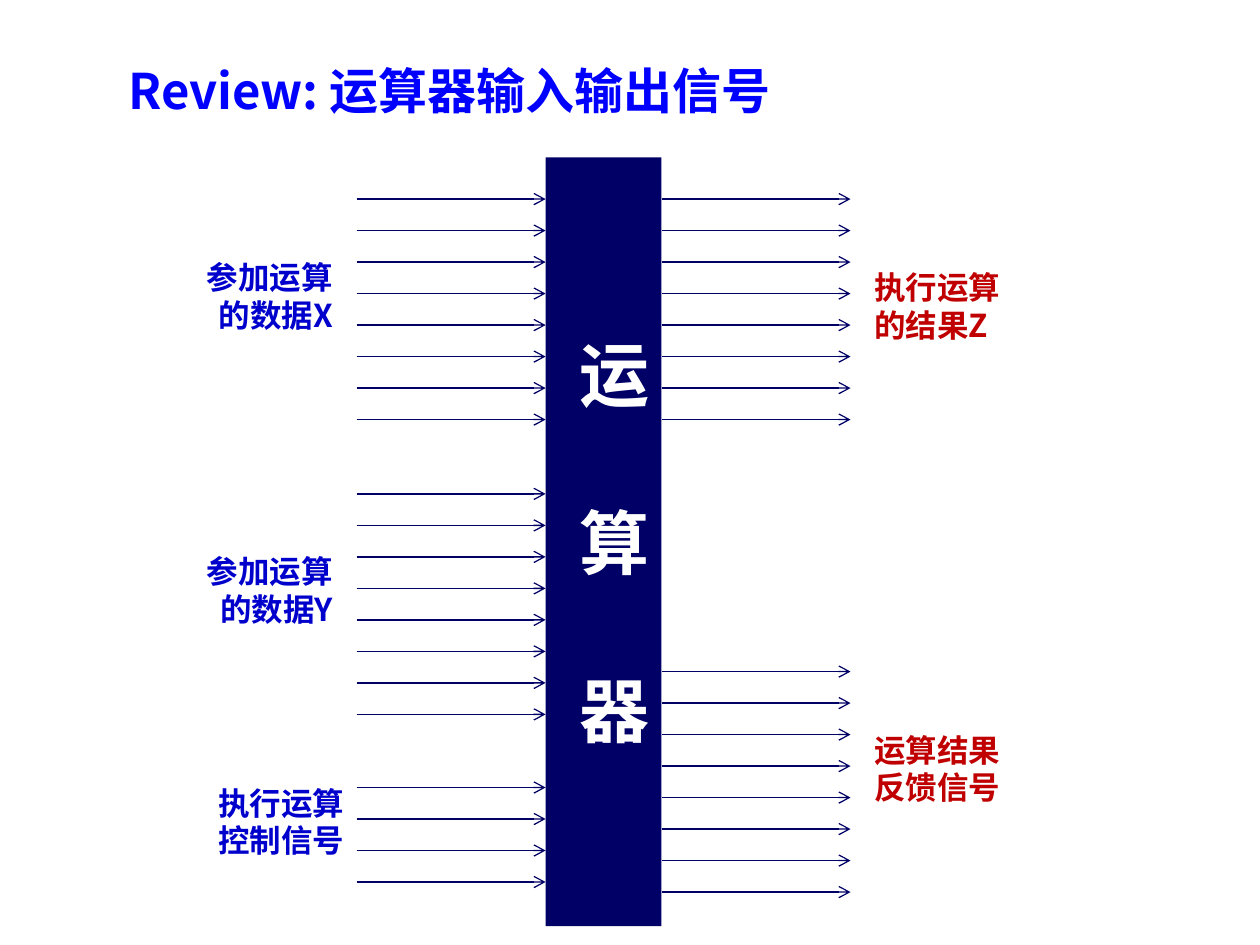
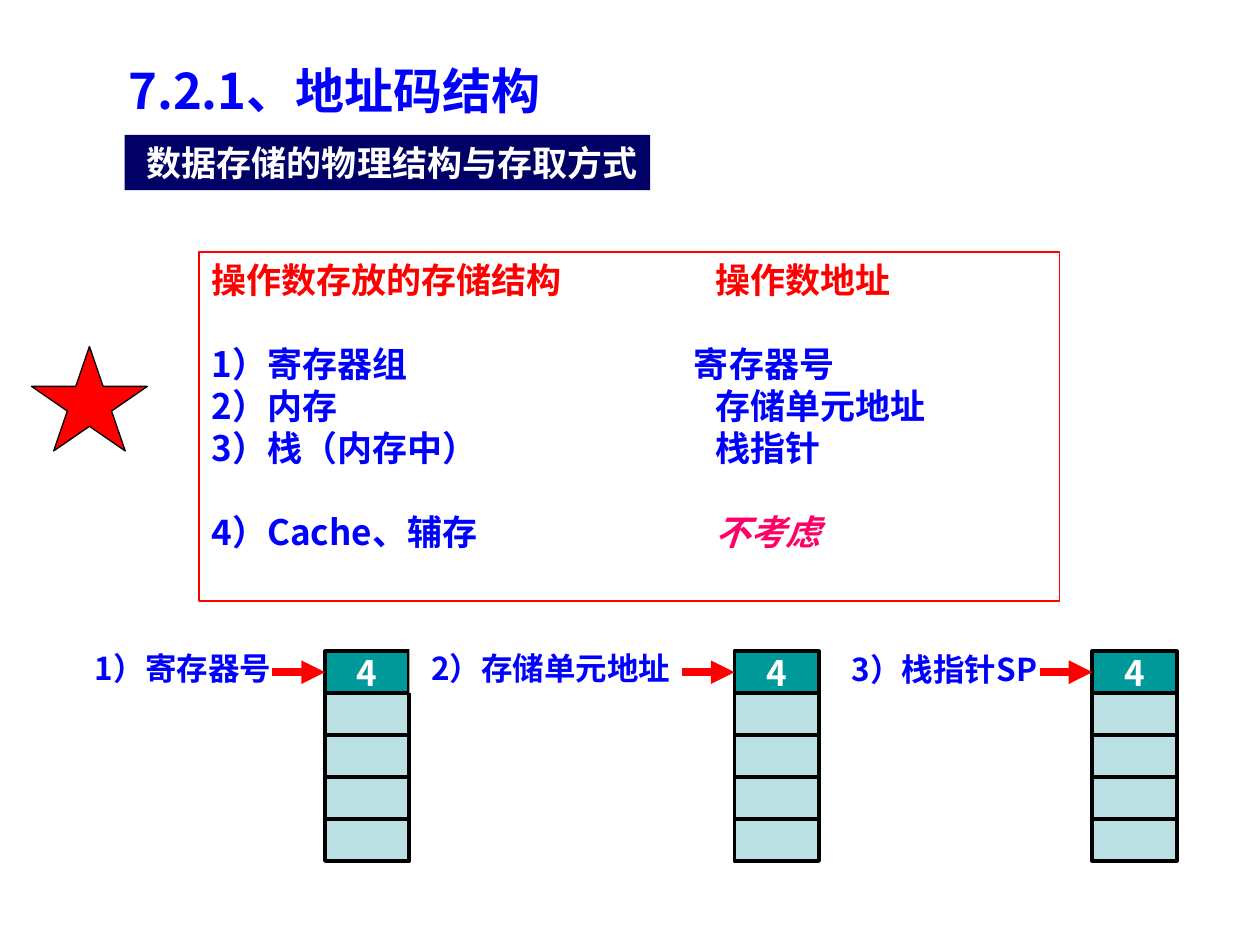
from pptx import Presentation
from pptx.dml.color import RGBColor
from pptx.enum.shapes import MSO_CONNECTOR as Connector, MSO_SHAPE as Preset
from pptx.enum.text import MSO_ANCHOR as Anchor, PP_ALIGN as Align
from pptx.oxml.ns import qn
from pptx.util import Inches, Pt
from lxml.etree import SubElement

COLORS = {
    "title": "0000FF",
    "navy": "000066",
    "input": "0000CC",
    "output": "C00000",
    "red": "FF0000",
    "pink": "FF0066",
    "teal": "009999",
    "pale": "BBE0E3",
    "white": "FFFFFF",
    "black": "000000",
}
FONT = "Noto Sans CJK SC"
LINE_RATIO = 1.2  # line height relative to the text size


def rgb(name):
    return RGBColor.from_string(COLORS[name])


class Deck:
    """Holds the shared style and the slide being filled."""

    def __init__(self):
        self.presentation = Presentation()
        self.presentation.slide_width = Inches(10)
        self.presentation.slide_height = Inches(7.5)
        self.slide = None

    def new_slide(self, title, title_width):
        self.slide = self.presentation.slides.add_slide(self.presentation.slide_layouts[6])
        self.text_box(0.92, 0.43, title_width, 0.57, [title], 28, "title")

    def format_run(self, run, size, color, italic=False):
        font = run.font
        font.name, font.size, font.bold = FONT, Pt(size), True
        if italic:
            font.italic = True
        font.color.rgb = rgb(color)
        SubElement(run._r.get_or_add_rPr(), qn("a:ea")).set("typeface", FONT)

    def set_text(self, shape, lines, size, color, align=Align.LEFT, anchor=Anchor.TOP, wrap=True):
        """Fill a shape with one paragraph per line and return the paragraphs."""
        text_frame = shape.text_frame
        text_frame.text = "\n".join(lines)
        text_frame.word_wrap = wrap
        text_frame.vertical_anchor = anchor
        for paragraph in text_frame.paragraphs:
            paragraph.alignment = align
            paragraph.line_spacing = Pt(size * LINE_RATIO)
            for run in paragraph.runs:
                self.format_run(run, size, color)
        return text_frame.paragraphs

    def text_box(self, left, top, width, height, lines, size, color, **options):
        shape = self.slide.shapes.add_textbox(
            Inches(left), Inches(top), Inches(width), Inches(height))
        self.set_text(shape, lines, size, color, **options)

    def shape(self, left, top, width, height, fill=None, line=None, line_width=0.75,
              preset=Preset.RECTANGLE):
        shape = self.slide.shapes.add_shape(
            preset, Inches(left), Inches(top), Inches(width), Inches(height))
        shape.shadow.inherit = False
        if fill:
            shape.fill.solid()
            shape.fill.fore_color.rgb = rgb(fill)
        else:
            shape.fill.background()
        if line:
            shape.line.color.rgb = rgb(line)
            shape.line.width = Pt(line_width)
        else:
            shape.line.fill.background()
        return shape

    def arrow(self, left, right, y, color, width, head):
        connector = self.slide.shapes.add_connector(
            Connector.STRAIGHT, Inches(left), Inches(y), Inches(right), Inches(y))
        connector.line.color.rgb = rgb(color)
        connector.line.width = Pt(width)
        SubElement(connector.line._get_or_add_ln(), qn("a:tailEnd")).set("type", head)
        SubElement(connector._element.spPr, qn("a:effectLst"))
        return connector

    def signal_bus(self, left, top, count):
        """Draw a group of parallel signal arrows."""
        for index in range(count):
            self.arrow(left, left + 1.5, top + index * 0.25, "navy", 0.75, "arrow")

    def memory_column(self, left, top=5.17, rows=5):
        """Draw a stack of cells with a pointer to the first one."""
        for row in range(rows):
            cell = self.shape(left, top + row / 3, 0.67, 0.33,
                              "pale" if row else "teal", "black", 2.25)
            if row == 0:
                self.set_text(cell, ["4"], 20, "white", Align.CENTER, Anchor.MIDDLE, wrap=False)
                pointer = self.arrow(left - 0.42, left, top + 0.165, "red", 4.5, "triangle")
                pointer.end_connect(cell, 1)


def add_tab_stop(paragraph, inches):
    tabs = SubElement(paragraph._p.get_or_add_pPr(), qn("a:tabLst"))
    tab = SubElement(tabs, qn("a:tab"))
    tab.set("pos", str(Inches(inches)))
    tab.set("algn", "l")


def build_signals_slide(deck):
    deck.new_slide("Review: 运算器输入输出信号", 7.08)

    unit = deck.shape(4.33, 1.25, 0.92, 6.1, "navy")
    unit.text_frame.margin_top = Inches(1.38)
    for paragraph in deck.set_text(unit, "运算器", 40, "white", Align.RIGHT)[1:]:
        paragraph.space_before = Pt(40 * LINE_RATIO)

    for left, top, count in [(2.83, 1.58, 8), (2.83, 3.92, 8), (2.83, 6.25, 4),
                             (5.25, 1.58, 8), (5.25, 5.33, 8)]:
        deck.signal_bus(left, top, count)

    labels = [
        (1.54, 2.0, ["参加运算", "的数据X"], "input", Align.RIGHT),
        (1.54, 4.33, ["参加运算", "的数据Y"], "input", Align.RIGHT),
        (1.63, 6.17, ["执行运算", "控制信号"], "input", Align.RIGHT),
        (6.84, 2.08, ["执行运算", "的结果Z"], "output", Align.LEFT),
        (6.84, 5.75, ["运算结果", "反馈信号"], "output", Align.LEFT),
    ]
    for left, top, lines, color, align in labels:
        deck.text_box(left, top, 1.2, 0.7, lines, 18, color, align=align, wrap=False)


def build_address_slide(deck):
    deck.new_slide("7.2.1、地址码结构", 4.92)

    banner = deck.shape(0.99, 1.07, 4.17, 0.44, "navy")
    deck.set_text(banner, ["数据存储的物理结构与存取方式"], 20, "white", Align.RIGHT)

    # storage, address, tab stop, text colour, whether a gap precedes the row
    rows = [
        ("操作数存放的存储结构", "操作数地址", 4, "red", False),
        ("1）寄存器组", "寄存器号", 3.83, "title", True),
        ("2）内存", "存储单元地址", 4, "title", False),
        ("3）栈（内存中）", "栈指针", 4, "title", False),
        ("4）Cache、辅存", "", 4, "title", True),
    ]
    box = deck.shape(1.58, 2, 6.83, 2.77, line="red")
    lines = [f"{storage}\t{address}" for storage, address, *_ in rows]
    paragraphs = deck.set_text(box, lines, 20, "title")
    for paragraph, (_, _, stop, color, gap) in zip(paragraphs, rows):
        add_tab_stop(paragraph, stop)
        if gap:
            paragraph.space_before = Pt(20 * LINE_RATIO)
        for run in paragraph.runs:
            run.font.color.rgb = rgb(color)
    ignored = paragraphs[-1].add_run()
    ignored.text = "不考虑"
    deck.format_run(ignored, 20, "pink", italic=True)

    deck.shape(0.25, 2.75, 0.92, 0.83, "red", "black", preset=Preset.STAR_5_POINT)

    columns = [
        (0.5, 5.1, 1.75, "1）寄存器号", 2.58),
        (3.25, 5.1, 2.17, "2）存储单元地址", 5.83),
        (6.57, 5.11, 1.76, "3）栈指针SP", 8.67),
    ]
    for left, top, width, label, column_left in columns:
        caption = deck.shape(left, top, width, 0.4, "white")
        deck.set_text(caption, [label], 18, "title", Align.RIGHT)
        deck.memory_column(column_left)


def main():
    deck = Deck()
    build_signals_slide(deck)
    build_address_slide(deck)
    deck.presentation.save("out.pptx")


if __name__ == "__main__":
    main()
